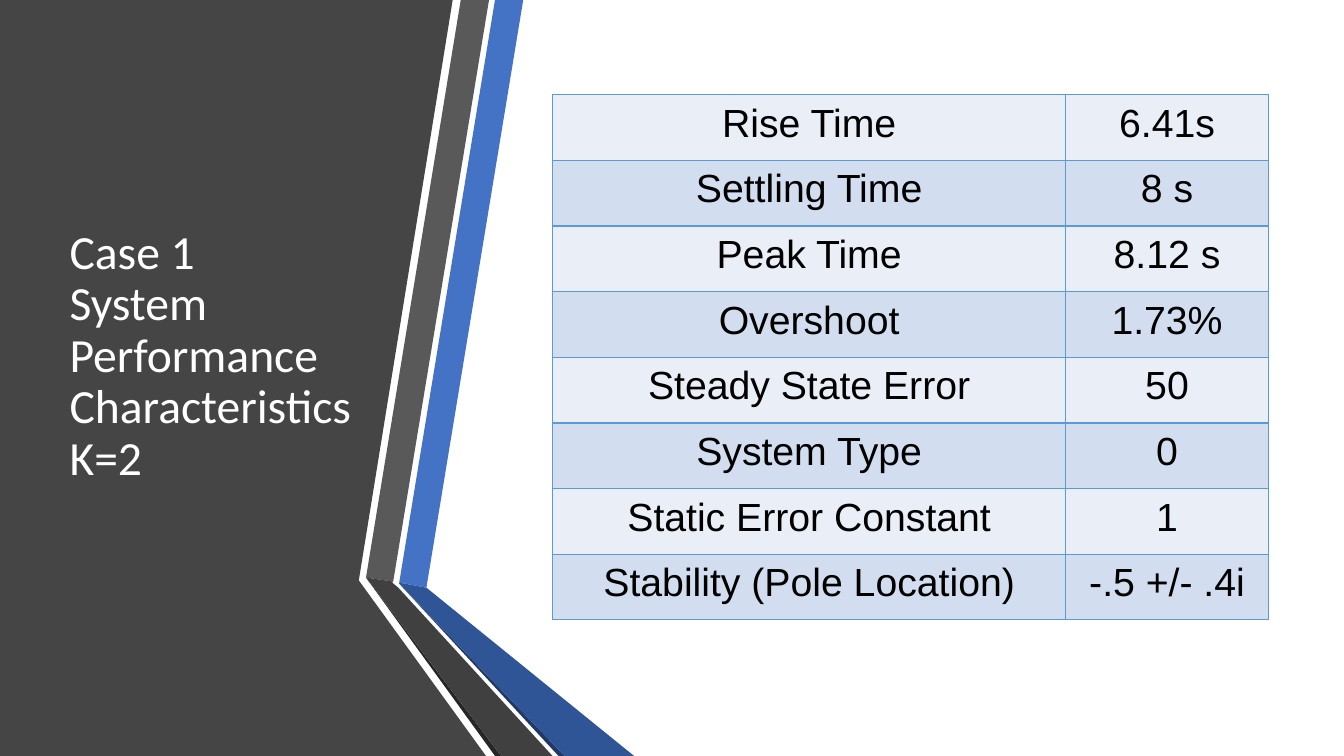
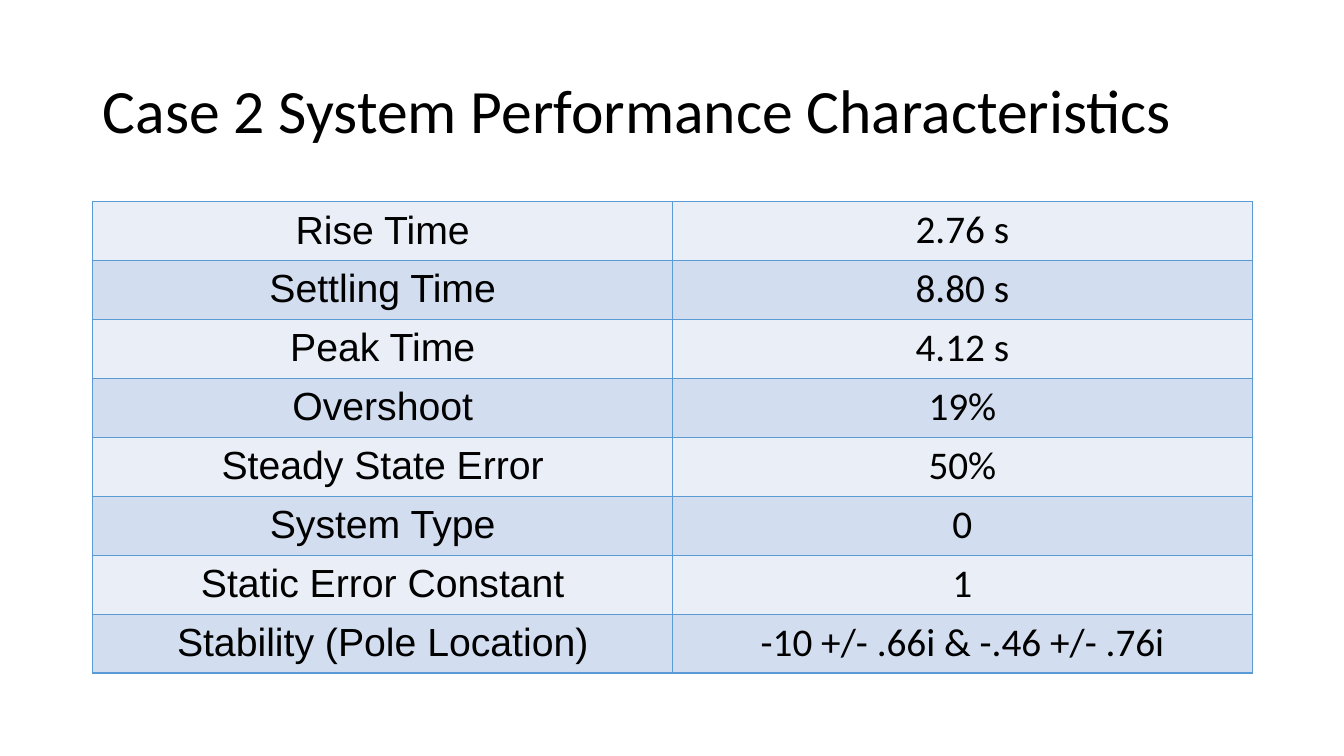
from dataclasses import dataclass

from lxml.etree import SubElement
from pptx import Presentation
from pptx.dml.color import RGBColor
from pptx.enum.text import MSO_ANCHOR, MSO_AUTO_SIZE, PP_ALIGN
from pptx.oxml.ns import qn
from pptx.util import Inches, Pt


@dataclass(frozen=True)
class Theme:
    title_font: str = "Calibri"
    label_font: str = "Arial"
    panel_title_size: int = 34
    title_size: int = 44
    cell_size: int = 28
    light: str = "FFFFFF"
    dark: str = "000000"
    bands: tuple = ("EAEFF7", "D2DEEF")
    border: str = "5B9BD5"
    border_width: int = 1
    panel: str = "454545"
    blue: str = "4472C4"
    blue_fold: str = "2F5597"
    blue_edge: str = "203864"
    gray: str = "595959"
    gray_fold: str = "404040"
    gray_edge: str = "262626"


THEME = Theme()

MEASURES = [
    "Rise Time", "Settling Time", "Peak Time", "Overshoot",
    "Steady State Error", "System Type", "Static Error Constant",
    "Stability (Pole Location)",
]

CASES = [
    {
        "title": "Case 1\vSystem Performance Characteristics\vK=2",
        "title_box": (0.59, 0.75, 3.04, 5.58),
        "title_size": THEME.panel_title_size,
        "title_color": THEME.light,
        "values": ["6.41s", "8 s", "8.12 s", "1.73%", "50", "0", "1", "-.5 +/- .4i"],
        "value_font": THEME.label_font,
        "value_margins": (0.15, 0.07),
        "table_at": (5.48, 0.94),
        "columns": (5.09, 2.01),
        "table_height": 5.21,
        "ribbons": True,
    },
    {
        "title": "Case 2 System Performance Characteristics",
        "title_box": (0.92, 0.4, 11.5, 1.45),
        "title_size": THEME.title_size,
        "title_color": THEME.dark,
        "values": ["2.76 s", "8.80 s", "4.12 s", "19%", "50%", "0", "1",
                   "-10 +/- .66i & -.46 +/- .76i"],
        "value_font": THEME.title_font,
        "value_margins": (0.1, 0.05),
        "table_at": (0.92, 2),
        "columns": (5.75, 5.75),
        "table_height": 4.68,
        "ribbons": False,
    },
]

PANEL = [(0, 0), (4.49, 0), (3.56, 5.75), (3.56, 5.76), (4.82, 7.5), (0, 7.5)]

RIBBONS = [
    (THEME.blue, [(3.96, 5.78), (4.23, 5.83), (5.19, 0), (4.91, 0)]),
    (THEME.gray, [(4.85, 0), (4.57, 0), (3.63, 5.73), (3.9, 5.77)]),
    (THEME.gray_edge, [(3.63, 5.73), (4.91, 7.5), (4.97, 7.5)]),
    (THEME.blue_edge, [(3.96, 5.79), (5.54, 7.5), (5.6, 7.5)]),
    (THEME.blue_fold, [(3.96, 5.79), (5.6, 7.5), (6.29, 7.5), (4.23, 5.83), (3.96, 5.78)]),
    (THEME.gray_fold, [(5.48, 7.5), (3.95, 5.83), (3.89, 5.78), (3.9, 5.77),
                       (3.63, 5.73), (4.97, 7.5)]),
]


def rgb(color):
    return RGBColor.from_string(color)


def format_runs(paragraph, font, size, color):
    for run in paragraph.runs:
        run.font.name = font
        run.font.size = Pt(size)
        run.font.color.rgb = rgb(color)


def add_outline(shapes, color, corners):
    points = [(Inches(x), Inches(y)) for x, y in corners]
    builder = shapes.build_freeform(*points[0])
    builder.add_line_segments(points[1:], close=True)
    outline = builder.convert_to_shape()
    outline.shadow.inherit = False
    outline.fill.solid()
    outline.fill.fore_color.rgb = rgb(color)
    outline.line.fill.background()


def add_ribbons(slide):
    add_outline(slide.shapes, THEME.panel, PANEL)
    ribbons = slide.shapes.add_group_shape()
    for color, corners in RIBBONS:
        add_outline(ribbons.shapes, color, corners)


def place_title(slide, case):
    title = slide.shapes.title
    title.left, title.top, title.width, title.height = map(Inches, case["title_box"])
    slide.shapes._spTree.append(title._element)
    frame = title.text_frame
    frame.text = case["title"]
    frame.word_wrap = True
    frame.auto_size = MSO_AUTO_SIZE.NONE
    frame.vertical_anchor = MSO_ANCHOR.MIDDLE
    heading = frame.paragraphs[0]
    heading.alignment = PP_ALIGN.LEFT
    heading.line_spacing = 0.9
    format_runs(heading, THEME.title_font, case["title_size"], case["title_color"])


def add_borders(cell):
    properties = cell._tc.get_or_add_tcPr()
    for position, side in enumerate(("lnL", "lnR", "lnT", "lnB")):
        border = properties.makeelement(qn(f"a:{side}"), {"w": str(Pt(THEME.border_width))})
        fill = SubElement(border, qn("a:solidFill"))
        SubElement(fill, qn("a:srgbClr"), val=THEME.border)
        properties.insert(position, border)


def fill_cell(cell, text, font, margins, band):
    cell.margin_left = cell.margin_right = Inches(margins[0])
    cell.margin_top = cell.margin_bottom = Inches(margins[1])
    cell.fill.solid()
    cell.fill.fore_color.rgb = rgb(band)
    add_borders(cell)
    cell.text_frame.text = text
    entry = cell.text_frame.paragraphs[0]
    entry.alignment = PP_ALIGN.CENTER
    format_runs(entry, font, THEME.cell_size, THEME.dark)


def add_results(slide, case):
    left, top = case["table_at"]
    columns, height = case["columns"], case["table_height"]
    results = slide.shapes.add_table(
        len(MEASURES), len(columns),
        Inches(left), Inches(top), Inches(sum(columns)), Inches(height),
    ).table
    results.first_row = results.horz_banding = False
    for column, width in zip(results.columns, columns):
        column.width = Inches(width)
    for index, (measure, value) in enumerate(zip(MEASURES, case["values"])):
        results.rows[index].height = Inches(height / len(MEASURES))
        band = THEME.bands[index % len(THEME.bands)]
        fill_cell(results.cell(index, 0), measure, THEME.label_font, (0.15, 0.07), band)
        fill_cell(results.cell(index, 1), value, case["value_font"],
                  case["value_margins"], band)


def main():
    presentation = Presentation()
    presentation.slide_width = Inches(13.33)
    presentation.slide_height = Inches(7.5)
    title_only = presentation.slide_layouts[5]
    for case in CASES:
        slide = presentation.slides.add_slide(title_only)
        if case["ribbons"]:
            add_ribbons(slide)
        place_title(slide, case)
        add_results(slide, case)
    presentation.save("out.pptx")


if __name__ == "__main__":
    main()
